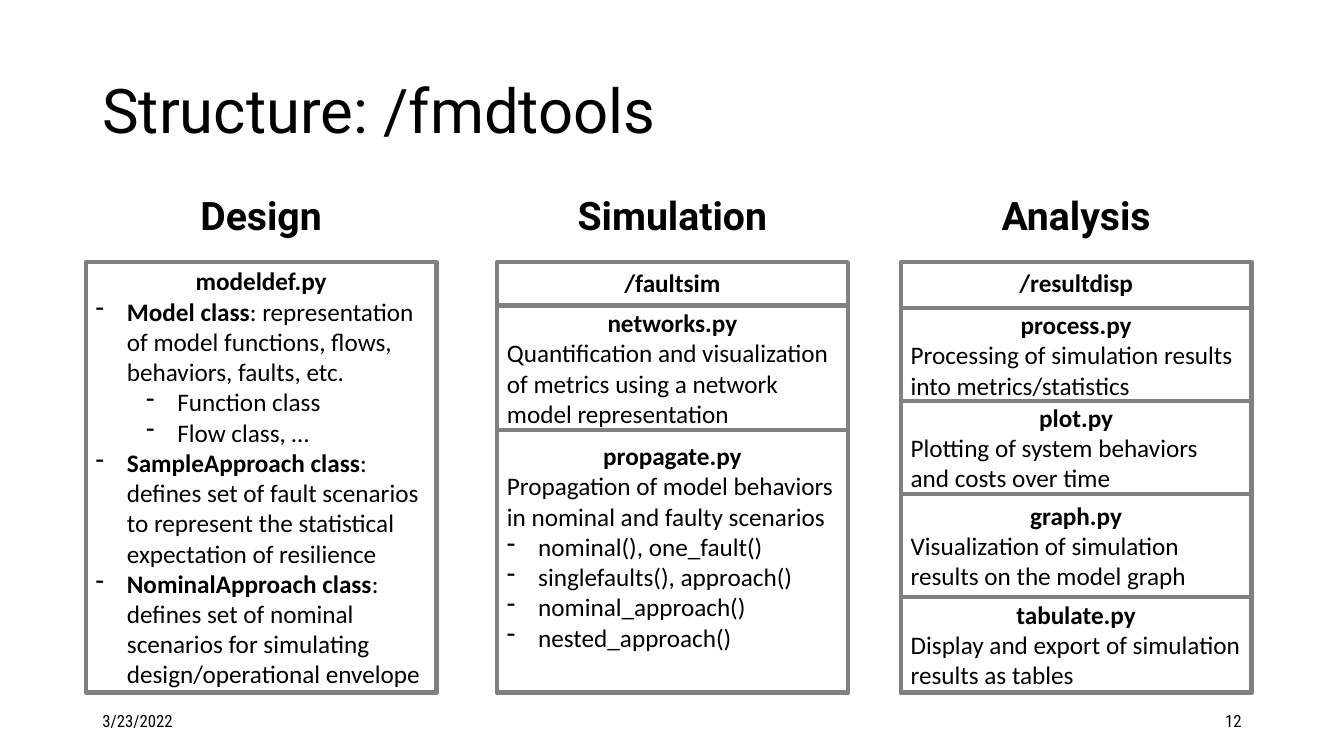
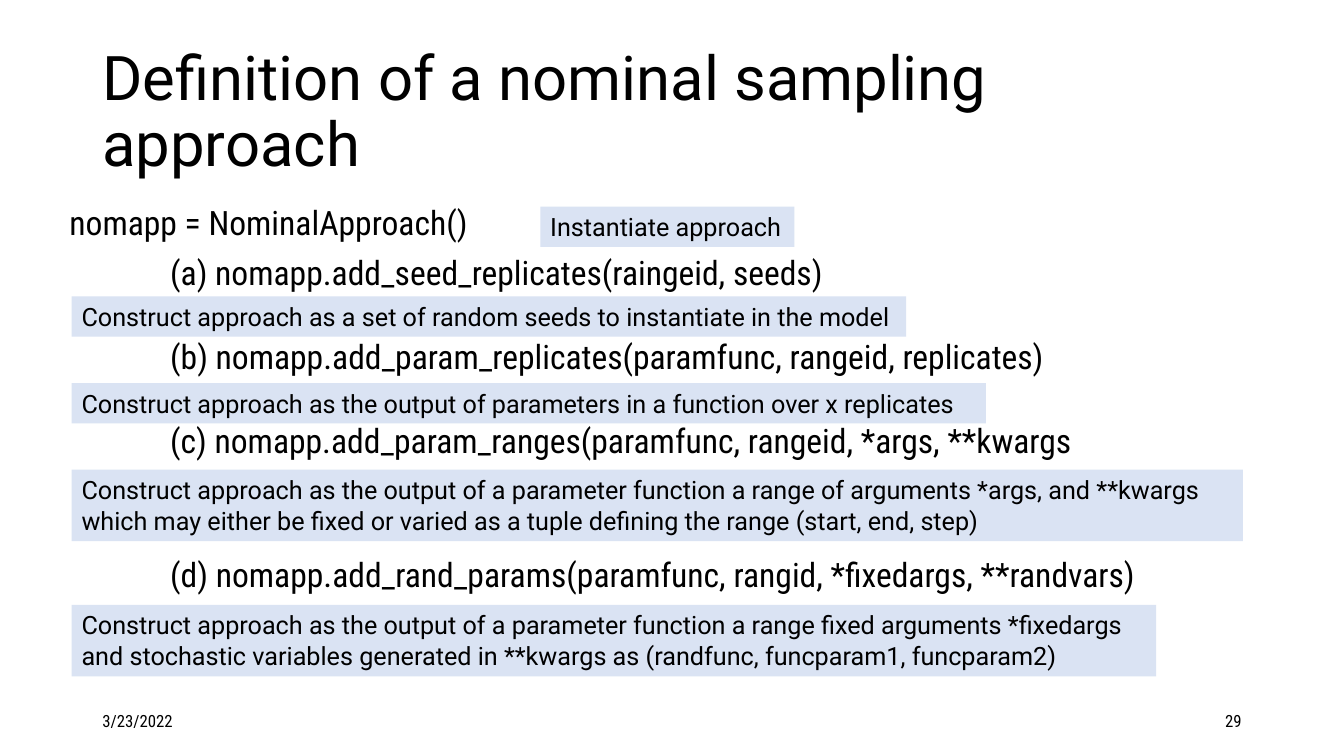
"""Build two slides on the structure and sampling approaches of a modelling toolkit."""
import lxml.etree
import pptx
import pptx.dml.color
import pptx.enum.shapes
import pptx.enum.text
import pptx.oxml.ns
import pptx.util

WIDTH, HEIGHT = 13.333, 7.5
BLACK, WHITE, GRAY, PALE = "000000", "FFFFFF", "808080", "DAE3F3"
HEAD, CONDENSED, BODY = "Roboto", "Roboto Condensed", "Calibri"
DATE = "3/23/2022"
COL_W, COL_TOP, COL_H = 26.1, 34.67, 56.93
HEADING_W = 18.45
NOTE_X, NOTE_LINE, NOTE_PAIR = 5.33, 5.33, 9.47
ALIGN = pptx.enum.text.PP_ALIGN
ANCHOR = pptx.enum.text.MSO_ANCHOR
SHAPE = pptx.enum.shapes.MSO_SHAPE


def color(value):
    """Turn a hex string into a colour."""
    return pptx.dml.color.RGBColor.from_string(value)


def area(x, y, w, h):
    """Turn percentages of the slide into a place and size."""
    return [pptx.util.Inches(share * side / 100)
            for share, side in ((x, WIDTH), (y, HEIGHT), (w, WIDTH), (h, HEIGHT))]


def add_run(p, text, size, font, bold=False):
    """Add one styled run."""
    r = p.add_run()
    r.text = text
    r.font.size = pptx.util.Pt(size)
    r.font.name = font
    r.font.bold = bold
    r.font.color.rgb = color(BLACK)


def next_paragraph(tf):
    """Return the empty first paragraph, or a new one."""
    p = tf.paragraphs[0]
    p = tf.add_paragraph() if p.runs else p
    p.alignment = ALIGN.LEFT
    return p


def indent(p, left, hanging=0):
    """Set the left margin and hanging indent in inches."""
    pPr = p._p.get_or_add_pPr()
    pPr.set("marL", str(pptx.util.Inches(left)))
    pPr.set("indent", str(-pptx.util.Inches(hanging)))
    return pPr


def add_bullet(tf, runs, level=0):
    """Add a dash bullet made of (text, bold) runs."""
    p = next_paragraph(tf)
    p.level = level
    pPr = indent(p, 0.31 + 0.5 * level, 0.31)
    bullet = lxml.etree.SubElement(pPr, pptx.oxml.ns.qn("a:buChar"))
    bullet.set("char", "-")
    for text, bold in runs:
        add_run(p, text, 18, BODY, bold)


def add_text(s, place, text, size, font, align=ALIGN.LEFT, anchor=ANCHOR.MIDDLE,
             bold=False, spacing=None):
    """Add a text box with one paragraph."""
    tf = s.shapes.add_textbox(*area(*place)).text_frame
    tf.word_wrap = True
    tf.vertical_anchor = anchor
    p = next_paragraph(tf)
    p.alignment = align
    p.line_spacing = spacing
    add_run(p, text, size, font, bold)


def add_panel(s, place, kind, fill, line=None, anchor=ANCHOR.MIDDLE):
    """Add a filled shape and return its text frame."""
    sp = s.shapes.add_shape(kind, *area(*place))
    sp.shadow.inherit = False
    sp.fill.solid()
    sp.fill.fore_color.rgb = color(fill)
    if line:
        sp.line.color.rgb = color(line)
        sp.line.width = pptx.util.Pt(3)
    else:
        sp.line.fill.background()
    tf = sp.text_frame
    tf.word_wrap = True
    tf.vertical_anchor = anchor
    return tf


def add_module(s, place, name, summary=None, bullets=(), anchor=ANCHOR.MIDDLE):
    """Add a framed module box with a name, a summary and bullets."""
    tf = add_panel(s, place, SHAPE.FLOWCHART_PROCESS, WHITE, GRAY, anchor)
    p = next_paragraph(tf)
    p.alignment = ALIGN.CENTER
    add_run(p, name, 18, BODY, True)
    if summary:
        add_run(next_paragraph(tf), summary, 18, BODY)
    for level, runs in bullets:
        add_bullet(tf, runs, level)
    return tf


def add_heading(s, x, text):
    """Add a bold heading centred over a column."""
    place = (x + (COL_W - HEADING_W) / 2, 24.67, HEADING_W, 7.6)
    add_text(s, place, text, 28, HEAD, ALIGN.CENTER, ANCHOR.TOP, True)


def add_package(s, x, heading, folder, modules):
    """Add a folder frame with its modules stacked down to its bottom edge."""
    add_heading(s, x, heading)
    add_module(s, (x, COL_TOP, COL_W, COL_H), folder, anchor=ANCHOR.TOP)
    y = COL_TOP + COL_H - sum(module[0] for module in modules)
    for h, name, summary, calls in modules:
        bullets = [(0, [(call, False)]) for call in calls]
        tf = add_module(s, (x, y, COL_W, h), name, summary, bullets)
        if calls:
            tf.margin_bottom = pptx.util.Inches(0.35)
        y += h


def add_note(s, x, y, w, h, lines):
    """Add a pale explanation box."""
    tf = add_panel(s, (x, y, w, h), SHAPE.RECTANGLE, PALE, anchor=ANCHOR.TOP)
    for line in lines:
        add_run(next_paragraph(tf), line, 18, HEAD)


def add_code(s, place, lines):
    """Add code lines given as (space before, left indent, text)."""
    tf = s.shapes.add_textbox(*area(*place)).text_frame
    tf.word_wrap = True
    for before, left, text in lines:
        p = next_paragraph(tf)
        indent(p, left)
        p.line_spacing = 0.9
        p.space_before = pptx.util.Pt(before)
        add_run(p, text, 24, CONDENSED)


def new_slide(prs, title, number):
    """Add a slide with the shared title, date and number."""
    s = prs.slides.add_slide(prs.slide_layouts[6])
    add_text(s, (6.88, 5.33, 86.25, 19.33), title, 44, HEAD, spacing=0.9)
    add_text(s, (6.88, 92.67, 22.5, 5.33), DATE, 12, CONDENSED)
    add_text(s, (70.63, 92.67, 22.5, 5.33), number, 12, CONDENSED, ALIGN.RIGHT)
    return s


def structure_slide(prs):
    """Show the modules for design, simulation and analysis."""
    s = new_slide(prs, "Structure: /fmdtools", "12")
    design, simulation, analysis = 6.38, 36.98, 67.02
    add_heading(s, design, "Design")
    add_module(s, (design, COL_TOP, COL_W, COL_H), "modeldef.py", bullets=[
        (0, [("Model class", True),
             (": representation of model functions, flows, behaviors, faults, etc.", False)]),
        (1, [("Function class", False)]),
        (1, [("Flow class, …", False)]),
        (0, [("SampleApproach class", True),
             (": defines set of fault scenarios to represent the statistical "
              "expectation of resilience", False)]),
        (0, [("NominalApproach class", True),
             (": defines set of nominal scenarios for simulating "
              "design/operational envelope", False)]),
    ])
    add_package(s, simulation, "Simulation", "/faultsim", [
        (16.53, "networks.py", "Quantification and visualization of metrics using "
         "a network model representation", ()),
        (34.67, "propagate.py",
         "Propagation of model behaviors in nominal and faulty scenarios",
         ("nominal(), one_fault()", "singlefaults(), approach()",
          "nominal_approach()", "nested_approach()")),
    ])
    add_package(s, analysis, "Analysis", "/resultdisp", [
        (12.27, "process.py", "Processing of simulation results into metrics/statistics", ()),
        (12.27, "plot.py", "Plotting of system behaviors and costs over time", ()),
        (13.6, "graph.py", "Visualization of simulation results on the model graph", ()),
        (12.67, "tabulate.py", "Display and export of simulation results as tables", ()),
    ])


def sampling_slide(prs):
    """Show the calls that define a nominal sampling approach."""
    s = new_slide(prs, "Definition of a nominal sampling approach", "29")
    add_code(s, (4.43, 26.67, 88.65, 63.47), [
        (0, 0, "nomapp = NominalApproach()"),
        (10, 1, "(a) nomapp.add_seed_replicates(raingeid, seeds)"),
        (34, 1, "(b) nomapp.add_param_replicates(paramfunc, rangeid, replicates)"),
        (34, 1, "(c) nomapp.add_param_ranges(paramfunc, rangeid, *args, **kwargs"),
        (69.4, 1, "(d) nomapp.add_rand_params(paramfunc, rangid, *fixedargs, **randvars)"),
    ])
    add_note(s, 40.2, 27.33, 18.9, NOTE_LINE, ["Instantiate approach"])
    notes = [
        (39.2, 62.1, NOTE_LINE,
         ["Construct approach as a set of random seeds to instantiate in the model"]),
        (50.67, 68.03, NOTE_LINE,
         ["Construct approach as the output of parameters in a function over x replicates"]),
        (62.13, 87.15, NOTE_PAIR,
         ["Construct approach as the output of a parameter function a range of "
          "arguments *args, and **kwargs",
          "which may either be fixed or varied as a tuple defining the range "
          "(start, end, step)"]),
        (80, 80.7, NOTE_PAIR,
         ["Construct approach as the output of a parameter function a range fixed "
          "arguments *fixedargs",
          "and stochastic variables generated in **kwargs as "
          "(randfunc, funcparam1, funcparam2)"]),
    ]
    for y, w, h, lines in notes:
        add_note(s, NOTE_X, y, w, h, lines)


def main():
    """Build and save the presentation."""
    prs = pptx.Presentation()
    prs.slide_width = pptx.util.Inches(WIDTH)
    prs.slide_height = pptx.util.Inches(HEIGHT)
    structure_slide(prs)
    sampling_slide(prs)
    prs.save("out.pptx")


main()
